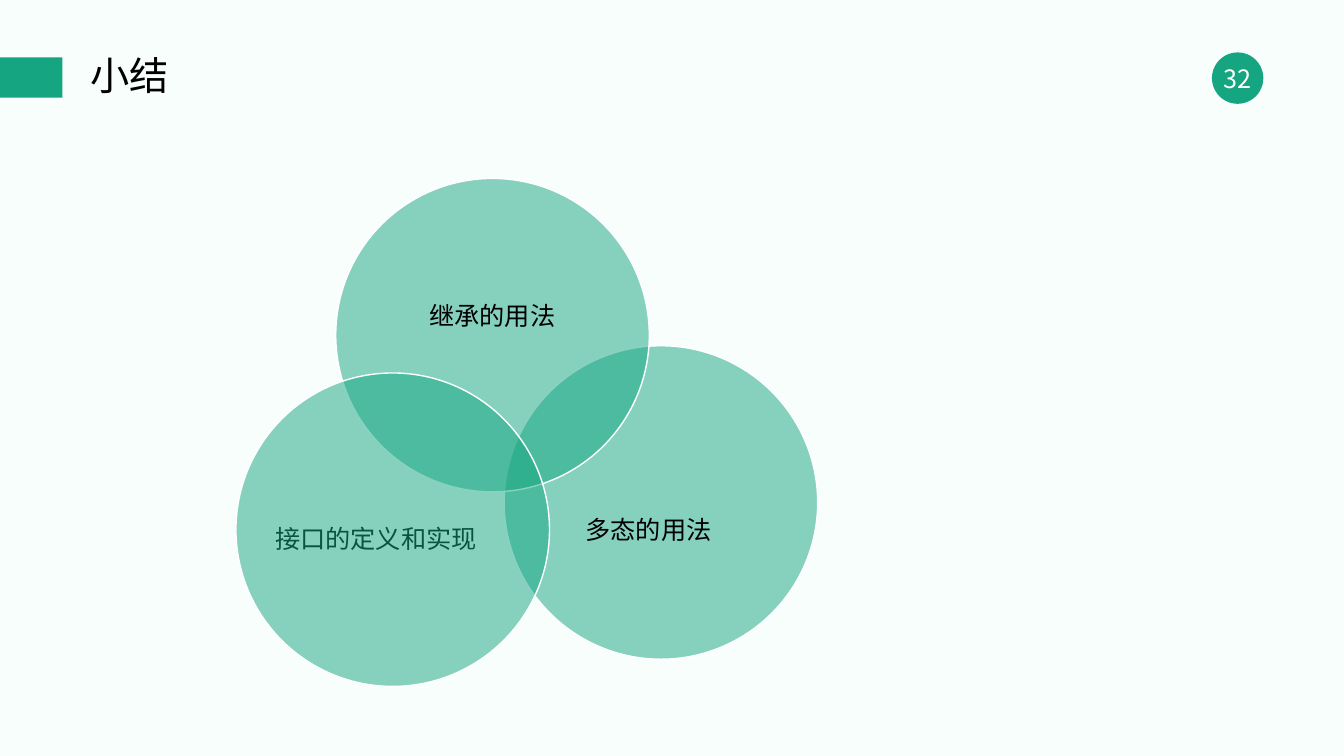
"""Build the summary slide with three overlapping topic circles."""
from dataclasses import dataclass

from lxml.etree import SubElement
from pptx import Presentation
from pptx.dml.color import RGBColor
from pptx.enum.shapes import MSO_SHAPE
from pptx.enum.text import MSO_ANCHOR, MSO_AUTO_SIZE, PP_ALIGN
from pptx.oxml.ns import qn
from pptx.util import Inches, Pt


@dataclass(frozen=True)
class Theme:
    back: RGBColor = RGBColor.from_string("F8FEFC")
    green: RGBColor = RGBColor.from_string("15A681")
    white: RGBColor = RGBColor.from_string("FFFFFF")
    black: RGBColor = RGBColor.from_string("000000")
    sans: str = "Noto Sans CJK SC"
    latin: str = "Calibri"
    title: Pt = Pt(28)
    label: Pt = Pt(18)


theme = Theme()


def write(frame, text, size, color, font):
    frame.text = text
    run = frame.paragraphs[0].runs[0]
    run.font.size = size
    run.font.color.rgb = color
    run.font.name = font
    SubElement(run.font._element, qn("a:ea"), typeface=theme.sans)


def draw(kind, left, top, width, height):
    shape = slide.shapes.add_shape(
        kind, Inches(left), Inches(top), Inches(width), Inches(height))
    shape.shadow.inherit = False
    shape.fill.solid()
    shape.fill.fore_color.rgb = theme.green
    shape.line.fill.background()
    return shape


deck = Presentation()
deck.slide_width, deck.slide_height = Inches(13.33), Inches(7.5)
slide = deck.slides.add_slide(deck.slide_layouts[5])
slide.background.fill.solid()
slide.background.fill.fore_color.rgb = theme.back

draw(MSO_SHAPE.OVAL, 12.02, 0.52, 0.51, 0.51)
page = slide.shapes.add_textbox(Inches(12.02), Inches(0.42), Inches(0.51), Inches(0.71))
frame = page.text_frame
frame.word_wrap = True
frame.vertical_anchor = MSO_ANCHOR.MIDDLE
frame.margin_left = frame.margin_right = 0
write(frame, "32", theme.label, theme.white, theme.sans)
frame.paragraphs[0].alignment = PP_ALIGN.CENTER

draw(MSO_SHAPE.RECTANGLE, 0, 0.57, 0.62, 0.4)
title = slide.shapes.title
title.left, title.top = Inches(0.8), Inches(0.52)
title.width, title.height = Inches(10), Inches(0.51)
frame = title.text_frame
frame.auto_size = MSO_AUTO_SIZE.NONE
frame.vertical_anchor = MSO_ANCHOR.MIDDLE
write(frame, "小结", theme.title, theme.black, theme.sans)
frame.paragraphs[0].alignment = PP_ALIGN.LEFT
frame.paragraphs[0].line_spacing = 0.9

venn = [
    ((5, 3.43), []),
    ((3.33, 1.77), [("接口的定义和实现", 2.63, 5.14, 2.26, True),
                    ("继承的用法", 4.16, 2.93, 1.46, False)]),
    ((2.34, 3.7), [("多态的用法", 5.71, 5.05, 2.26, True)]),
]
for (left, top), labels in venn:
    disc = draw(MSO_SHAPE.OVAL, left, top, 3.11, 3.11)
    tint = disc.fill._xPr.find(qn("a:solidFill"))[0]
    SubElement(tint, qn("a:alpha"), val="50000")
    disc.line.color.rgb = theme.white
    disc.line.width = Pt(1)
    for text, x, y, width, wrap in labels:
        box = slide.shapes.add_textbox(Inches(x), Inches(y), Inches(width), Inches(0.4))
        box.text_frame.word_wrap = wrap
        write(box.text_frame, text, theme.label, theme.black, theme.latin)

deck.save("out.pptx")
